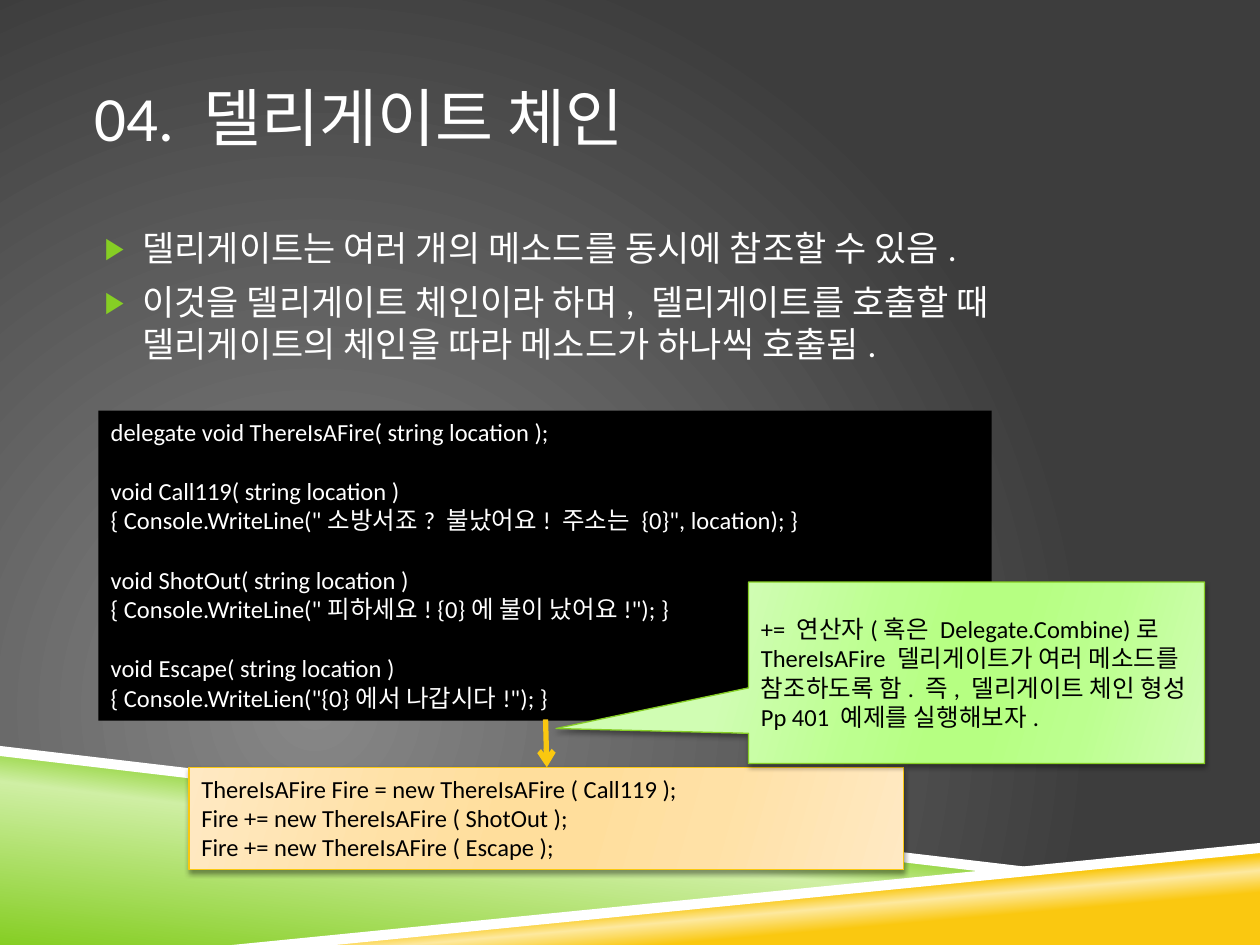
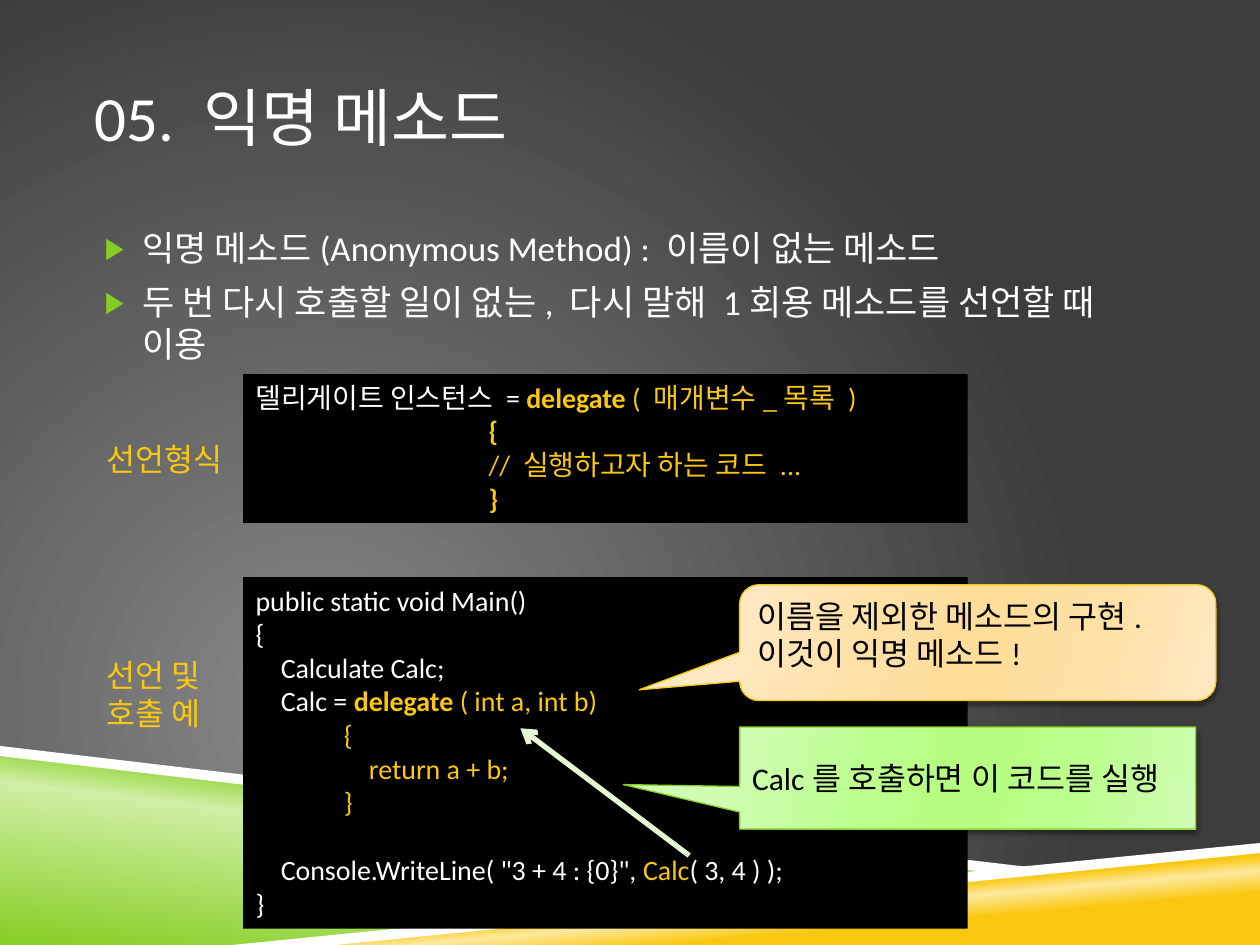
from dataclasses import dataclass

from pptx import Presentation
from pptx.dml.color import RGBColor
from pptx.enum import shapes, text
from pptx.oxml import parse_xml
from pptx.oxml.ns import nsdecls, qn
from pptx.util import Inches, Pt

FONT = "Calibri"
WHITE, BLACK, GREEN, GOLD, MINT = "FFFFFF", "000000", "86CE24", "FAC810", "E7F7D1"
KIND = shapes.MSO_SHAPE
TOP, MID = text.MSO_ANCHOR.TOP, text.MSO_ANCHOR.MIDDLE


@dataclass
class Run:
    """A stretch of text with its own colour or weight."""
    text: str
    color: str = ""
    bold: bool = False


@dataclass
class Line:
    """A paragraph: its runs, left indent in inches, space before in points."""
    runs: list
    left: float = 0
    before: float = 0


@dataclass
class Band:
    """A decorative outline at the slide's foot; a single stop is a flat fill."""
    points: list
    stops: list
    angle: int = 0


@dataclass
class Tint:
    """Gradient and outline of a raised panel."""
    edge: str
    tones: tuple

    def stops(self) -> list:
        """Mirror the three tones about the centre."""
        a, b, c = self.tones
        return [(0, a), (30, b), (45, c), (55, c), (73, b), (100, a)]


SAND = Tint(GOLD, ("FFE9C3", "FFE1A6", "FFDE9C"))
LIME = Tint(GREEN, ("D0FDB3", "BCFF8F", "B6FF82"))

BANDS = [
    Band([(0, 5.97), (7.92, 6.92), (2, 7.5), (0, 7.5)],
         [(0, GREEN), (52, "CFEFA4"), (66, GREEN)], 277),
    Band([(1.98, 7.5), (10, 6.72), (10, 7.5)],
         [(28, GOLD), (40, "FDE99F"), (48, GOLD)], 265),
    Band([(0, 5.92), (0, 6), (7.9, 6.93), (8.32, 6.9)], [(0, WHITE)]),
    Band([(10, 6.69), (1.84, 7.5), (2.66, 7.5), (10, 6.77)], [(0, WHITE)]),
]


def rgb(code: str) -> RGBColor:
    """Turn a hex string into a colour."""
    return RGBColor.from_string(code)


def blend(fill, props, stops: list, way: str) -> None:
    """Fill with a gradient; way is its direction as XML."""
    fill.solid()
    marks = "".join(f'<a:gs pos="{at * 1000}"><a:srgbClr val="{code}"/></a:gs>'
                    for at, code in stops)
    grad = parse_xml(f'<a:gradFill {nsdecls("a")} rotWithShape="1">'
                     f'<a:gsLst>{marks}</a:gsLst>{way}</a:gradFill>')
    props.replace(props.find(qn("a:solidFill")), grad)


def slope(angle: int) -> str:
    """Give the XML of a linear gradient direction."""
    return f'<a:lin ang="{angle * 60000}" scaled="0"/>'


def write(frame, lines: list, size: float = 14, color: str = WHITE,
          anchor=TOP, wrap: bool = True, side: float = 0.1,
          after: float = 0) -> None:
    """Put lines (strings or Line) into a text frame."""
    frame.word_wrap = wrap
    frame.auto_size = text.MSO_AUTO_SIZE.NONE
    frame.vertical_anchor = anchor
    frame.margin_left = frame.margin_right = Inches(side)
    frame.margin_top = frame.margin_bottom = Inches(0.05)
    for i, line in enumerate(lines):
        if isinstance(line, str):
            line = Line([Run(line)])
        para = frame.paragraphs[0] if i == 0 else frame.add_paragraph()
        para.alignment = text.PP_ALIGN.LEFT
        para.space_before, para.space_after = Pt(line.before), Pt(after)
        if line.left:
            para._p.get_or_add_pPr().set("marL", str(Inches(line.left)))
        for part in line.runs:
            run = para.add_run()
            run.text = part.text
            run.font.name, run.font.size = FONT, Pt(size)
            run.font.bold = part.bold
            run.font.color.rgb = rgb(part.color or color)


def area(box: tuple) -> list:
    """Turn left, top, width, height into lengths."""
    return [Inches(v) for v in box]


def foot(slide) -> None:
    """Draw the bands along the bottom of the slide."""
    for band in BANDS:
        dots = [(Inches(x), Inches(y)) for x, y in band.points]
        pen = slide.shapes.build_freeform(*dots[0])
        pen.add_line_segments(dots[1:], close=True)
        shape = pen.convert_to_shape()
        shape.shadow.inherit = False
        shape.line.fill.background()
        if len(band.stops) == 1:
            shape.fill.solid()
            shape.fill.fore_color.rgb = rgb(band.stops[0][1])
        else:
            blend(shape.fill, shape._element.spPr, band.stops, slope(band.angle))


def label(slide, box: tuple, lines: list, **form):
    """Add a plain text box."""
    frame = slide.shapes.add_textbox(*area(box)).text_frame
    write(frame, lines, **form)
    return frame


def points(slide, lines: list) -> None:
    """Add the bulleted body text."""
    frame = label(slide, (0.75, 1.75, 8.5, 4.44),
                  [Line([Run(t)], 0.38, 7) for t in lines], size=20, side=0)
    for para in frame.paragraphs:
        props = para._p.get_or_add_pPr()
        props.set("indent", str(Inches(-0.3)))
        for tag in (f'<a:buClr {nsdecls("a")}><a:srgbClr val="{GREEN}"/></a:buClr>',
                    f'<a:buSzPct {nsdecls("a")} val="85000"/>',
                    f'<a:buFont {nsdecls("a")} typeface="Arial"/>',
                    f'<a:buChar {nsdecls("a")} char="▶"/>'):
            props.append(parse_xml(tag))


def code(slide, box: tuple, lines: list, **form) -> None:
    """Add a black code panel."""
    shape = slide.shapes.add_shape(KIND.RECTANGLE, *area(box))
    shape.shadow.inherit = False
    shape.fill.solid()
    shape.fill.fore_color.rgb = rgb(BLACK)
    shape.line.fill.background()
    write(shape.text_frame, lines, **form)


def panel(slide, kind, box: tuple, tint: Tint, lines: list,
          tip: tuple = (), **form) -> None:
    """Add a raised gradient panel; tip holds a callout's adjustments."""
    shape = slide.shapes.add_shape(kind, *area(box))
    for i, value in enumerate(tip):
        shape.adjustments[i] = value
    props = shape._element.spPr
    blend(shape.fill, props, tint.stops(), slope(16))
    shape.line.color.rgb = rgb(tint.edge)
    shape.line.width = Pt(0.75)
    props.append(parse_xml(
        f'<a:effectLst {nsdecls("a")}><a:outerShdw blurRad="{Pt(3)}" '
        f'dist="{Pt(2)}" dir="5400000" rotWithShape="0"><a:srgbClr val="{BLACK}">'
        '<a:alpha val="40000"/></a:srgbClr></a:outerShdw></a:effectLst>'))
    write(shape.text_frame, lines, color=BLACK, **form)


def arrow(slide, start: tuple, end: tuple, color: str) -> None:
    """Draw a thick line with an open arrowhead at its end."""
    link = slide.shapes.add_connector(shapes.MSO_CONNECTOR.STRAIGHT,
                                      *area(start + end))
    link.line.color.rgb = rgb(color)
    link.line.width = Pt(3)
    props = link._element.spPr
    props.find(qn("a:ln")).append(
        parse_xml(f'<a:tailEnd {nsdecls("a")} type="arrow"/>'))
    props.append(parse_xml(f'<a:effectLst {nsdecls("a")}/>'))


def start(deck, title: str, lines: list):
    """Add a slide with its bands, title and body points."""
    slide = deck.slides.add_slide(deck.slide_layouts[5])
    foot(slide)
    head = slide.shapes.title
    head.left, head.top, head.width, head.height = area((0.75, 0.3, 8.5, 1.25))
    write(head.text_frame, [title], size=36, anchor=MID, side=0)
    points(slide, lines)
    return slide


def chain(deck) -> None:
    """Build the delegate chain slide."""
    slide = start(deck, "04. 델리게이트 체인", [
        "델리게이트는 여러 개의 메소드를 동시에 참조할 수 있음.",
        "이것을 델리게이트 체인이라 하며, 델리게이트를 호출할 때 "
        "델리게이트의 체인을 따라 메소드가 하나씩 호출됨."])
    lines = ["delegate void ThereIsAFire( string location );"]
    for name, call in [
            ("Call119", 'WriteLine("소방서죠? 불났어요! 주소는 {0}", location)'),
            ("ShotOut", 'WriteLine("피하세요! {0}에 불이 났어요!")'),
            ("Escape", 'WriteLien("{0}에서 나갑시다!")')]:
        lines += [Line([Run(f"void {name}( string location )")], before=17),
                  f"{{ Console.{call}; }}"]
    code(slide, (0.78, 3.26, 7.09, 2.46), lines)
    panel(slide, KIND.RECTANGLE, (1.5, 6.09, 5.67, 0.81), SAND, [
        "ThereIsAFire Fire = new ThereIsAFire ( Call119 );",
        "Fire += new ThereIsAFire ( ShotOut );",
        "Fire += new ThereIsAFire ( Escape );"])
    arrow(slide, (4.33, 5.71), (4.34, 6.09), GOLD)
    panel(slide, KIND.RECTANGULAR_CALLOUT, (5.94, 4.62, 3.62, 1.44), LIME, [
        "+= 연산자(혹은 Delegate.Combine)로 ThereIsAFire 델리게이트가 "
        "여러 메소드를 참조하도록 함. 즉, 델리게이트 체인 형성",
        "Pp 401 예제를 실행해보자."], tip=(-0.922, 0.307), anchor=MID)


def lone(deck) -> None:
    """Build the anonymous method slide."""
    slide = start(deck, "05. 익명 메소드", [
        "익명 메소드(Anonymous Method) : 이름이 없는 메소드",
        "두 번 다시 호출할 일이 없는, 다시 말해 1회용 메소드를 선언할 때 이용"])
    word = Run("delegate ", GOLD, True)
    code(slide, (1.93, 4.58, 5.75, 2.79), [
        "public static void Main()",
        "{",
        Line([Run("Calculate Calc;")], 0.2),
        Line([Run("Calc = "), word, Run("( int a, int b)", GOLD)], 0.2),
        Line([Run("{", GOLD)], 0.7),
        Line([Run("return a + b;", GOLD)], 0.9),
        Line([Run("}", GOLD)], 0.7),
        Line([Run('Console.WriteLine( "3 + 4 : {0}", '), Run("Calc", GOLD),
              Run("( 3, 4 ) );")], 0.2, 19.5),
        "}"], size=16)
    panel(slide, KIND.ROUNDED_RECTANGULAR_CALLOUT, (5.87, 4.64, 3.78, 0.92), SAND,
          ["이름을 제외한 메소드의 구현. 이것이 익명 메소드!"],
          tip=(-0.711, 0.407, 0.167), size=18, after=10)
    arrow(slide, (5.47, 6.79), (4.13, 5.78), MINT)
    panel(slide, KIND.RECTANGULAR_CALLOUT, (5.87, 5.77, 3.62, 0.81), LIME,
          ["Calc를 호출하면 이 코드를 실행"], tip=(-0.755, 0.064),
          size=18, anchor=MID)
    code(slide, (1.93, 2.97, 5.75, 1.18), [
        Line([Run("델리게이트 인스턴스 = "), word, Run("( 매개변수_목록 )", GOLD)]),
        Line([Run("{", GOLD, True)], 1.85),
        Line([Run("// 실행하고자 하는 코드 ...", GOLD)], 1.85),
        Line([Run("}", GOLD, True)], 1.85)], size=16)
    for box, lines in [((0.75, 3.44, 1.21, 0.4), ["선언형식"]),
                       ((0.75, 5.16, 1.03, 0.71), ["선언 및", "호출 예"])]:
        label(slide, box, lines, size=18, color=GOLD, wrap=False)


def main() -> None:
    """Set up the deck and its backdrop, then build both slides."""
    deck = Presentation()
    deck.slide_width, deck.slide_height = Inches(10), Inches(7.5)
    master = deck.slide_master
    fill = master.background.fill
    fill.solid()
    blend(fill, master._element.find(".//" + qn("p:bgPr")),
          [(0, "878787"), (100, "3D3D3D")],
          '<a:path path="circle"><a:fillToRect l="50000" t="100000" '
          'r="100000" b="50000"/></a:path>')
    chain(deck)
    lone(deck)
    deck.save("out.pptx")


main()
